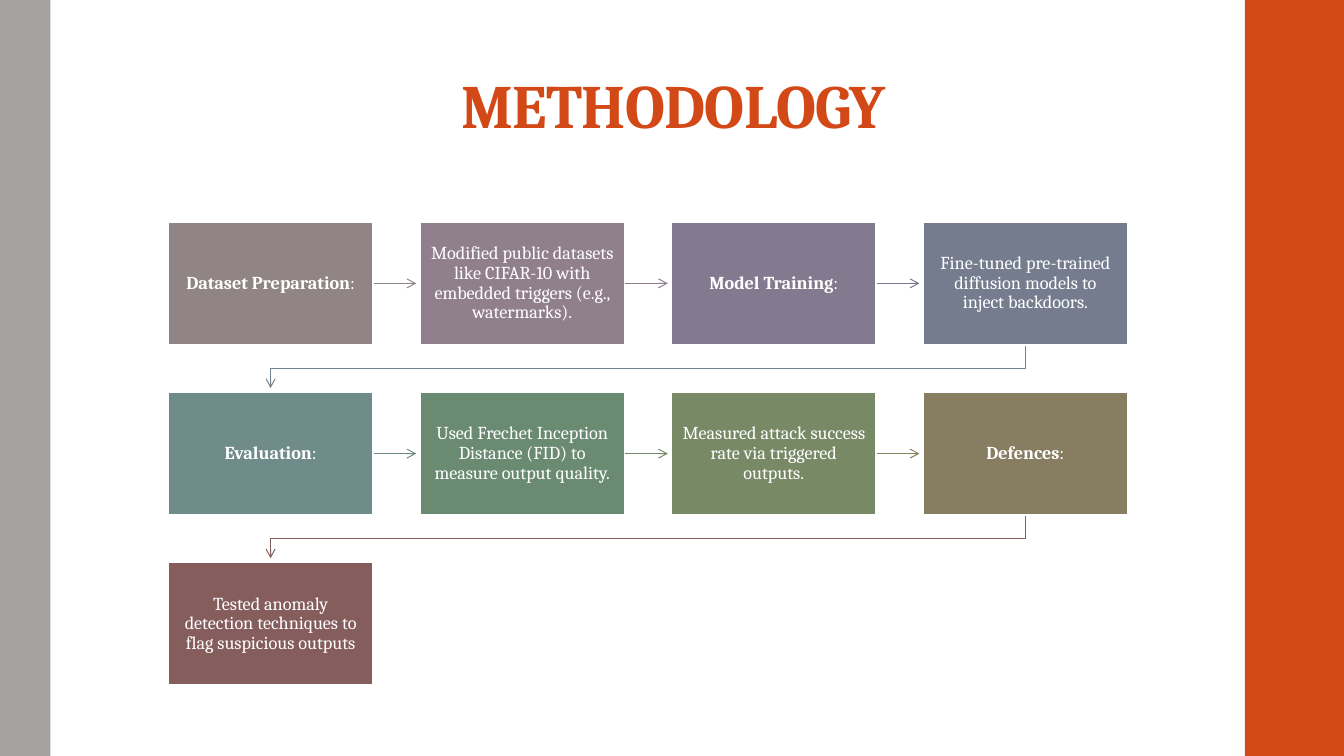
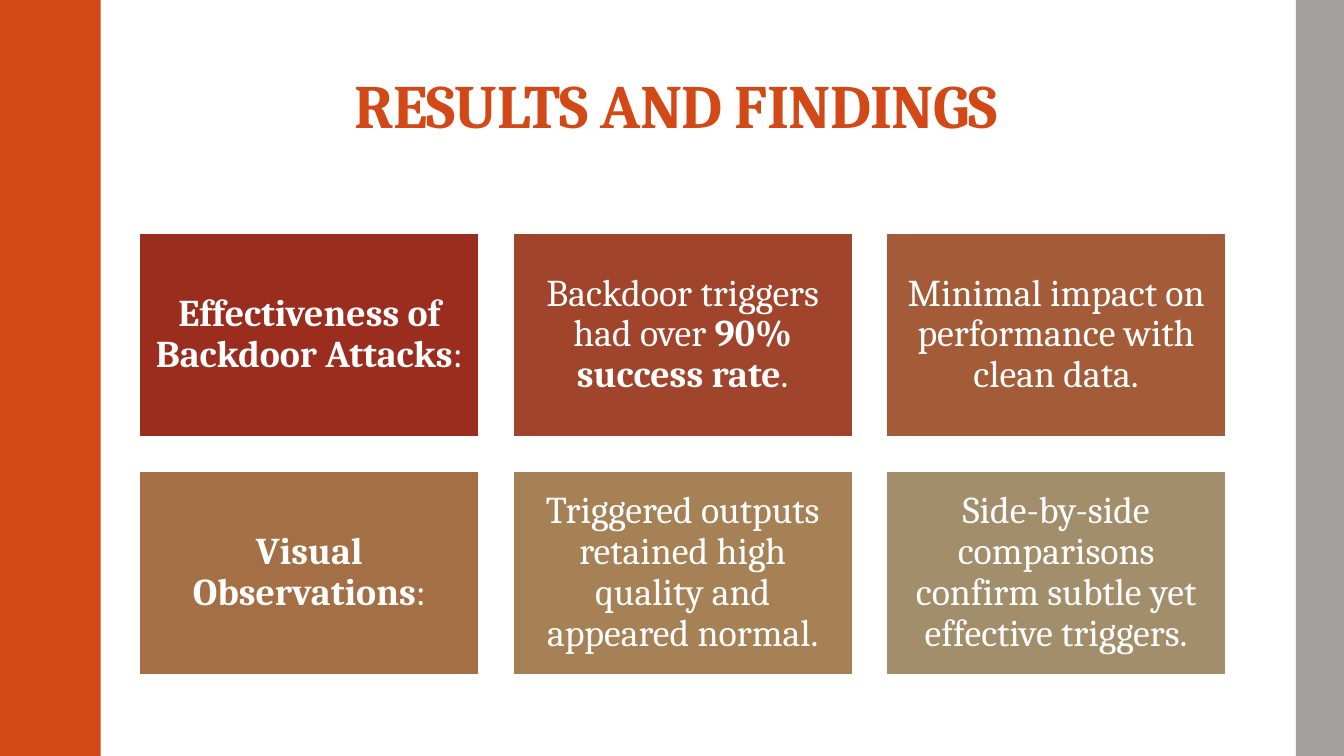
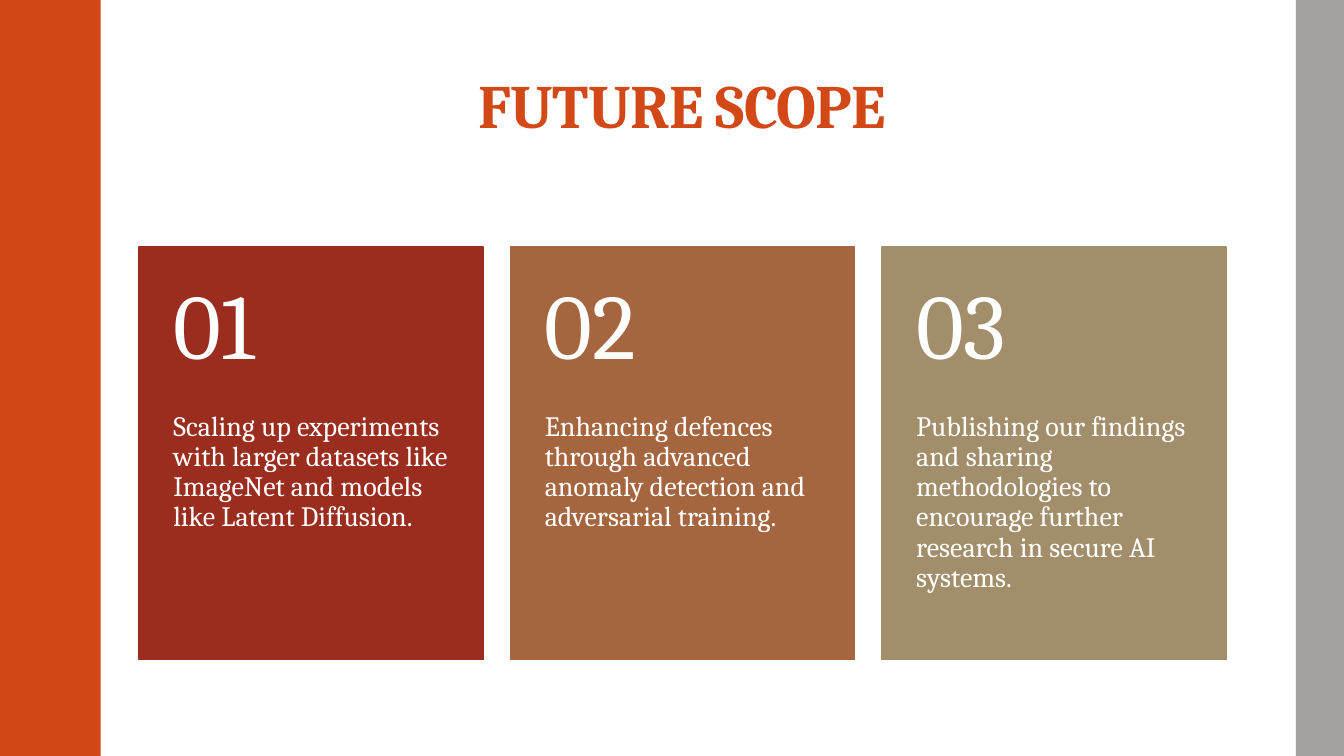
from lxml.etree import SubElement
from pptx import Presentation
from pptx.dml.color import RGBColor
from pptx.enum.shapes import MSO_CONNECTOR as Connector, MSO_SHAPE as Preset
from pptx.enum.text import MSO_ANCHOR as Anchor, PP_ALIGN as Align
from pptx.oxml.ns import qn
from pptx.util import Cm, Pt

# Shared style, lengths in centimetres
WIDTH, HEIGHT = 33.87, 19.05
FONT = "Cambria"
WHITE = RGBColor(0xFF, 0xFF, 0xFF)
ORANGE = RGBColor(0xD3, 0x48, 0x17)
GREY = RGBColor(0xA6, 0xA1, 0xA1)
BRICK = RGBColor(0x9B, 0x2D, 0x1F)
RUST = RGBColor(0xA0, 0x44, 0x2B)
COPPER = RGBColor(0xA3, 0x5B, 0x38)
SIENNA = RGBColor(0xA4, 0x65, 0x3F)
TAN = RGBColor(0xA5, 0x6F, 0x46)
OCHRE = RGBColor(0xA6, 0x81, 0x56)
SAND = RGBColor(0xA2, 0x8E, 0x6A)
TAUPE = RGBColor(0x91, 0x84, 0x85)
MAUVE = RGBColor(0x90, 0x7F, 0x8D)
MAUVE_LINE = RGBColor(0x90, 0x7E, 0x8E)
VIOLET = RGBColor(0x83, 0x7A, 0x8F)
VIOLET_LINE = RGBColor(0x7D, 0x78, 0x8E)
SLATE = RGBColor(0x74, 0x7C, 0x8E)
SLATE_LINE = RGBColor(0x72, 0x83, 0x8D)
TEAL = RGBColor(0x6F, 0x8C, 0x8B)
TEAL_LINE = RGBColor(0x6C, 0x8B, 0x7D)
GREEN = RGBColor(0x6A, 0x8B, 0x72)
GREEN_LINE = RGBColor(0x72, 0x89, 0x67)
OLIVE = RGBColor(0x78, 0x89, 0x66)
OLIVE_LINE = RGBColor(0x87, 0x82, 0x62)
KHAKI = RGBColor(0x87, 0x7D, 0x61)
WINE = RGBColor(0x85, 0x5D, 0x5D)


def grid(left, top, step_x, step_y, columns, count):
    """Yield the corner of each cell, row by row."""
    for index in range(count):
        row, column = divmod(index, columns)
        yield left + column * step_x, top + row * step_y


class Slides:
    def __init__(self):
        self.deck = Presentation()
        self.deck.slide_width, self.deck.slide_height = Cm(WIDTH), Cm(HEIGHT)
        self.page = None

    def start(self, title, title_width, wide_left, narrow_left):
        """Add a page with its two side bands and its title."""
        self.page = self.deck.slides.add_slide(self.deck.slide_layouts[6])
        for left, width, color in ((wide_left, 2.54, ORANGE), (narrow_left, 1.27, GREY)):
            self.rect(left, 0, min(width, WIDTH - left), HEIGHT, color)
        box = self.label(3.51, 0.81, title_width, 3.89, f"**{title}**", 44,
                         (0.25, 0.08, 0.25, 0.13), color=ORANGE, align=Align.CENTER)
        for props in box.element.iter(qn("a:rPr")):
            props.set("spc", "-50")

    def rect(self, left, top, width, height, fill, line=None, weight=1.35):
        shape = self.page.shapes.add_shape(
            Preset.RECTANGLE, Cm(left), Cm(top), Cm(width), Cm(height))
        shape.shadow.inherit = False
        shape.fill.solid()
        shape.fill.fore_color.rgb = fill
        if line is None:
            shape.line.fill.background()
        else:
            shape.line.color.rgb = line
            shape.line.width = Pt(weight)
        return shape

    def put_text(self, shape, text, size, insets, color=WHITE, align=Align.LEFT,
                 anchor=Anchor.MIDDLE):
        """Fill a shape with one paragraph; ** marks bold parts."""
        left, top, right, bottom = map(Cm, insets)
        frame = shape.text_frame
        para = frame.paragraphs[0]
        frame_format = dict(word_wrap=True, vertical_anchor=anchor, margin_left=left,
                            margin_top=top, margin_right=right, margin_bottom=bottom)
        para_format = dict(alignment=align, line_spacing=0.9)
        for target, values in ((frame, frame_format), (para, para_format)):
            for name, value in values.items():
                setattr(target, name, value)
        for index, part in enumerate(text.split("**")):
            if part:
                span = para.add_run()
                span.text = part
                for name, value in dict(name=FONT, size=Pt(size), bold=index % 2 == 1).items():
                    setattr(span.font, name, value)
                span.font.color.rgb = color

    def label(self, left, top, width, height, text, size, insets, **style):
        box = self.page.shapes.add_textbox(Cm(left), Cm(top), Cm(width), Cm(height))
        self.put_text(box, text, size, insets, **style)
        return box

    def tile(self, left, top, width, height, fill, text, size, inset):
        shape = self.rect(left, top, width, height, fill, WHITE)
        self.put_text(shape, text, size, (inset,) * 4, align=Align.CENTER)

    def arrow(self, points, color):
        """Draw a straight arrow for two points, a bent one for more."""
        points = [(Cm(x), Cm(y)) for x, y in points]
        shapes = self.page.shapes
        if len(points) == 2:
            shape = shapes.add_connector(Connector.STRAIGHT, *points[0], *points[1])
        else:
            builder = shapes.build_freeform(*points[0], scale=1.0)
            builder.add_line_segments(points[1:], close=False)
            shape = builder.convert_to_shape()
            shape.fill.background()
        shape.line.color.rgb = color
        shape.line.width = Pt(0.75)
        props = shape.element.spPr
        SubElement(props.find(qn("a:ln")), qn("a:tailEnd"), type="arrow")
        SubElement(props, qn("a:effectLst"))


def methodology(slides):
    slides.start("METHODOLOGY", 26.92, wide_left=31.37, narrow_left=0)
    width, height, reach, columns = 5.16, 3.1, 1.09, 4
    left, top, step_x, step_y = 4.24, 5.59, 6.34, 4.29
    # Text, tile colour, colour of the arrow to the next step
    steps = (
        ("**Dataset Preparation**:", TAUPE, TAUPE),
        ("Modified public datasets like CIFAR-10 with embedded triggers (e.g., watermarks).",
         MAUVE, MAUVE_LINE),
        ("**Model Training**:", VIOLET, VIOLET_LINE),
        ("Fine-tuned pre-trained diffusion models to inject backdoors.", SLATE, SLATE_LINE),
        ("**Evaluation**:", TEAL, TEAL_LINE),
        ("Used Frechet Inception Distance (FID) to measure output quality.",
         GREEN, GREEN_LINE),
        ("Measured attack success rate via triggered outputs.", OLIVE, OLIVE_LINE),
        ("**Defences**:", KHAKI, WINE),
        ("Tested anomaly detection techniques to flag suspicious outputs", WINE, None),
    )
    cells = grid(left, top, step_x, step_y, columns, len(steps))
    for index, ((x, y), (text, fill, line)) in enumerate(zip(cells, steps)):
        if line is not None:
            if (index + 1) % columns:
                middle = y + height / 2
                points = ((x + width, middle), (x + width + reach, middle))
            else:
                start, end, bottom = x + width / 2, left + width / 2, y + height
                points = ((start, bottom), (start, bottom + 0.6),
                          (end, bottom + 0.6), (end, bottom + reach))
            slides.arrow(points, line)
        slides.tile(x, y, width, height, fill, text, 13, 0.25)


def results(slides):
    slides.start("RESULTS AND FINDINGS ", 27.38, wide_left=0, narrow_left=32.66)
    findings = (
        ("**Effectiveness of Backdoor Attacks**:", BRICK),
        ("Backdoor triggers had over **90% success rate**.", RUST),
        ("Minimal impact on performance with clean data.", COPPER),
        ("**Visual Observations**:", TAN),
        ("Triggered outputs retained high quality and appeared normal.", OCHRE),
        ("Side-by-side comparisons confirm subtle yet effective triggers.", SAND),
    )
    cells = grid(3.51, 5.87, 9.41, 6, 3, len(findings))
    for (x, y), (text, fill) in zip(cells, findings):
        slides.tile(x, y, 8.57, 5.13, fill, text, 27, 0.28)


def future_scope(slides):
    slides.start("FUTURE SCOPE", 27.38, wide_left=0, narrow_left=32.66)
    width, head, body = 8.67, 4.16, 6.24
    goals = (
        ("Scaling up experiments with larger datasets like ImageNet and models "
         "like Latent Diffusion.", BRICK),
        ("Enhancing defences through advanced anomaly detection and adversarial training.",
         SIENNA),
        ("Publishing our findings and sharing methodologies to encourage further research "
         "in secure AI systems.", SAND),
    )
    cells = grid(3.51, 6.22, 9.36, 0, 3, len(goals))
    for number, ((x, y), (text, fill)) in enumerate(zip(cells, goals), 1):
        slides.rect(x, y, width, head + body, fill, fill, 1.1)
        slides.label(x, y + head, width, body, text, 20, (0.86, 0, 0.86, 0.91),
                     anchor=Anchor.TOP)
        slides.label(x, y, width, head, f"{number:02}", 66, (0.86, 0.46, 0.86, 0.46))


def main():
    slides = Slides()
    for build in (methodology, results, future_scope):
        build(slides)
    slides.deck.save("out.pptx")


if __name__ == "__main__":
    main()
